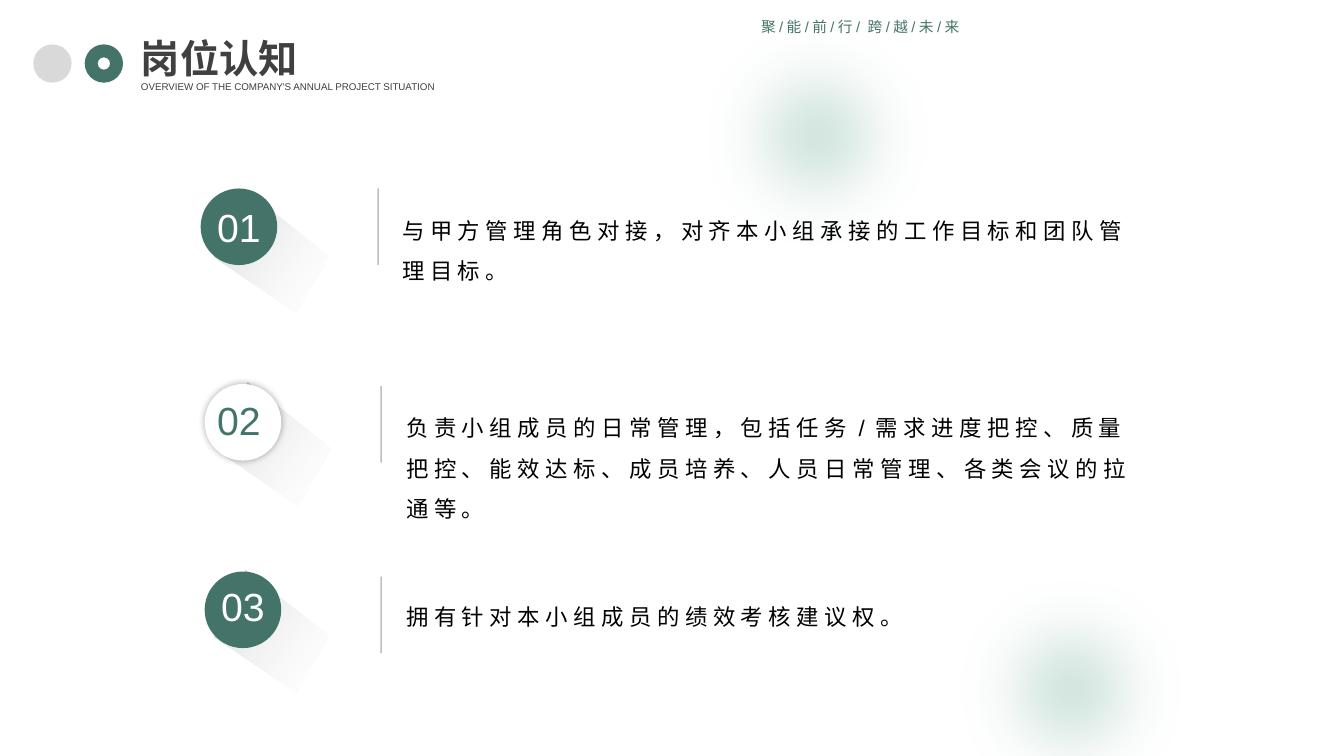
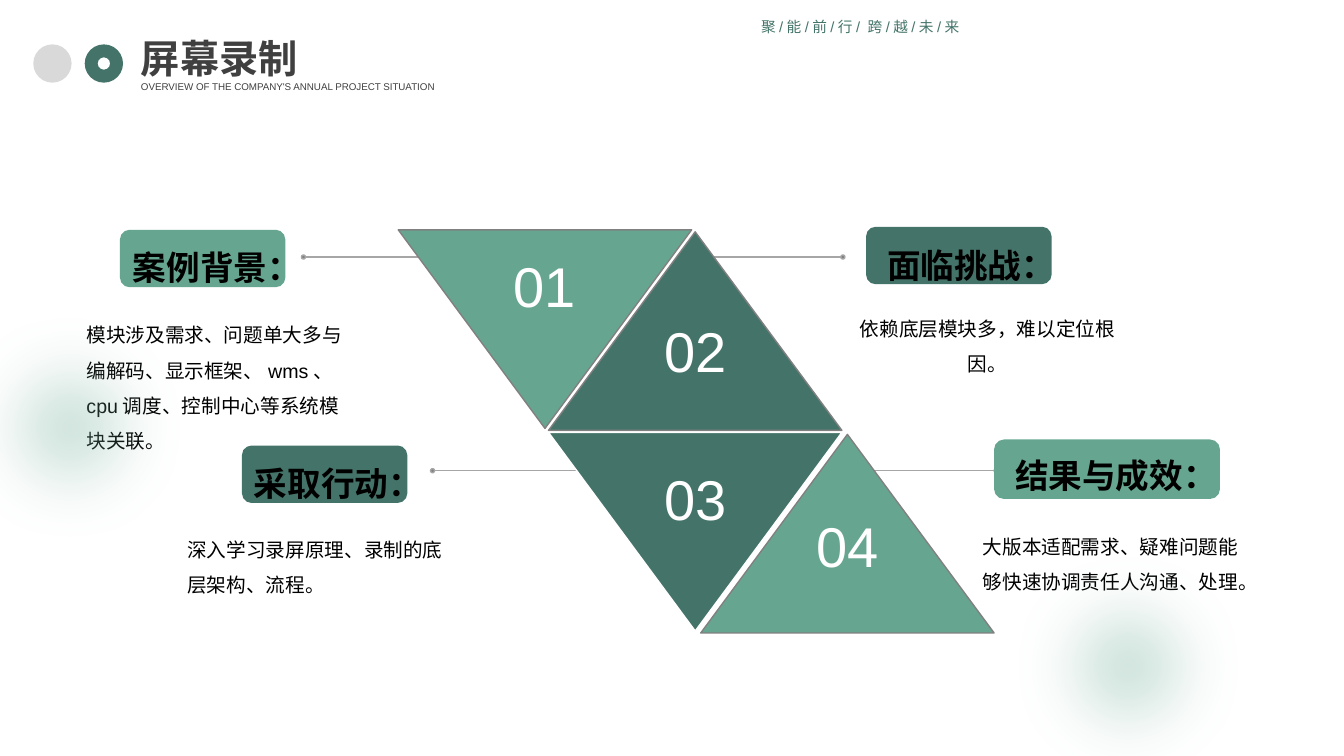
from lxml.etree import SubElement
from pptx import Presentation
from pptx.dml.color import RGBColor
from pptx.enum.lang import MSO_LANGUAGE_ID
from pptx.enum.shapes import MSO_CONNECTOR, MSO_SHAPE
from pptx.enum.text import MSO_AUTO_SIZE, PP_ALIGN
from pptx.oxml import parse_xml
from pptx.oxml.ns import nsdecls, qn
from pptx.util import Inches, Pt

COLORS = {
    "dark": "447469",
    "light": "66A691",
    "glow": "7CB3A1",
    "grey": "D9D9D9",
    "rule": "808080",
    "leader": "A6A6A6",
    "title": "404040",
    "black": "000000",
    "white": "FFFFFF",
}
FONT = "Arial"
MOTTO = "聚/能/前/行/ 跨/越/未/来"
SUBTITLE = "OVERVIEW OF THE COMPANY'S ANNUAL PROJECT SITUATION"
GLOW_SIZE = 2.87
BADGE_SIZE = 0.76
TRIANGLE_SIZE = (2.91, 1.97)

# Offset of each corner of a badge's long shadow from its left top corner
LONG_SHADOW = [(0, 0.66), (0.31, 0), (1.13, 0.65), (0.81, 1.21)]
# Position, colour (as name and opacity percent) along the long shadow
LONG_SHADOW_STOPS = [(0, "F6F8FC", 0), (65, "CCCDCE", 40), (100, "BFBFBF", 100)]

# number, badge, long shadow, number box, rule, text box, fill, number colour, text
DUTIES = [
    ("01", (1.99, 1.87), (2.13, 1.89), (1.74, 1.97), (3.75, 1.87), (3.89, 1.97),
     "dark", "white", "与甲方管理角色对接，对齐本小组承接的工作目标和团队管理目标。"),
    ("02", (2.03, 3.81), (2.15, 3.8), (1.74, 3.88), (3.78, 3.83), (3.93, 3.93),
     "white", "dark", "负责小组成员的日常管理，包括任务/需求进度把控、质量把控、"
     "能效达标、成员培养、人员日常管理、各类会议的拉通等。"),
    ("03", (2.03, 5.67), (2.13, 5.66), (1.78, 5.73), (3.78, 5.72), (3.93, 5.8),
     "dark", "white", "拥有针对本小组成员的绩效考核建议权。"),
]

# dot centre, inner end of the leader
LEADERS = [
    ((9.88, 4.67), 8.38),
    ((3.01, 2.55), 4.51),
    ((4.29, 4.67), 5.79),
    ((8.36, 2.55), 6.86),
]

# number, left, top, fill, line, points down, number top within the triangle
TRIANGLES = [
    ("02", 5.44, 2.3, "dark", "rule", False, 0.79),
    ("01", 3.95, 2.28, "light", "rule", True, 0.17),
    ("03", 5.44, 4.29, "dark", "white", True, 0.27),
    ("04", 6.95, 4.31, "light", "rule", False, 0.72),
]

# heading, pill box, heading box, body left and top, fill, alignment, body
CARDS = [
    ("案例背景：", (1.19, 2.28, 1.64, 0.57), (1.22, 2.25, 1.64, 0.62), (0.76, 3.04),
     "light", None, "模块涉及需求、问题单大多与编解码、显示框架、wms、cpu调度、控制中心等系统模块关联。"),
    ("采取行动：", (2.4, 4.42, 1.64, 0.57), (2.42, 4.39, 1.84, 0.61), (1.76, 5.17),
     "dark", None, "深入学习录屏原理、录制的底层架构、流程。"),
    ("面临挑战：", (8.59, 2.25, 1.84, 0.57), (8.7, 2.23, 1.84, 0.61), (8.36, 2.98),
     "dark", PP_ALIGN.CENTER, "依赖底层模块多，难以定位根因。"),
    ("结果与成效：", (9.86, 4.36, 2.24, 0.59), (9.97, 4.31, 2.58, 0.49), (9.58, 5.14),
     "light", PP_ALIGN.CENTER, "大版本适配需求、疑难问题能够快速协调责任人沟通、处理。"),
]


def color(name):
    return RGBColor.from_string(COLORS[name])


def set_alpha(shape, percent):
    """Make every colour in the shape's own formatting translucent."""
    for item in shape.element.spPr.iter(qn("a:srgbClr")):
        SubElement(item, qn("a:alpha")).set("val", str(percent * 1000))


def set_effect(shape, effect=""):
    """Replace the shape's effects by the given XML, or by none."""
    properties = shape.element.spPr
    for old in properties.findall(qn("a:effectLst")):
        properties.remove(old)
    properties.append(parse_xml(
        f"<a:effectLst {nsdecls('a')}>{effect}</a:effectLst>"))


def add_preset(shapes, kind, box, fill, line=None):
    shape = shapes.add_shape(kind, *map(Inches, box))
    shape.shadow.inherit = False
    shape.fill.solid()
    shape.fill.fore_color.rgb = color(fill)
    if line:
        shape.line.color.rgb = color(line)
        shape.line.width = Pt(1)
    else:
        shape.line.fill.background()
    return shape


def add_line(shapes, start, end, name):
    connector = shapes.add_connector(
        MSO_CONNECTOR.STRAIGHT, *map(Inches, (*start, *end)))
    connector.line.color.rgb = color(name)
    connector.line.width = Pt(1)
    set_effect(connector)
    return connector


def add_text(shapes, box, text, size, name="black", bold=False, align=None,
             line_spacing=None, letter_spacing=None, wrap=True):
    text_box = shapes.add_textbox(*map(Inches, box))
    frame = text_box.text_frame
    frame.text = text
    frame.word_wrap = wrap
    frame.auto_size = MSO_AUTO_SIZE.SHAPE_TO_FIT_TEXT
    paragraph = frame.paragraphs[0]
    paragraph.alignment = align
    paragraph.line_spacing = line_spacing
    font = paragraph.runs[0].font
    font.name = FONT
    font.size = Pt(size)
    font.bold = bold
    font.color.rgb = color(name)
    font.language_id = MSO_LANGUAGE_ID.SIMPLIFIED_CHINESE
    if letter_spacing:
        paragraph.runs[0].font._element.set("spc", str(letter_spacing * 100))
    return text_box


def add_header(slide, title):
    shapes = slide.shapes
    add_preset(shapes, MSO_SHAPE.OVAL, (0.33, 0.44, 0.38, 0.38), "grey")
    ring = add_preset(shapes, MSO_SHAPE.DONUT, (0.84, 0.44, 0.38, 0.38), "dark")
    ring.adjustments[0] = 0.338
    for box, text, size, name, bold in [
        ((1.3, 0.29, 4.02, 0.57), title, 28, "title", True),
        ((1.3, 0.75, 4.98, 0.22), SUBTITLE, 7, "title", False),
        ((7.45, 0.13, 5.43, 0.28), MOTTO, 10.5, "dark", False),
    ]:
        add_text(shapes, box, text, size, name, bold, PP_ALIGN.JUSTIFY)


def add_glow(slide, left, top):
    """Add a large translucent circle with a soft edge."""
    glow = add_preset(slide.shapes, MSO_SHAPE.OVAL,
                      (left, top, GLOW_SIZE, GLOW_SIZE), "glow")
    set_alpha(glow, 43)
    set_effect(glow, f'<a:softEdge rad="{Pt(50)}"/>')


def add_long_shadow(shapes, left, top):
    points = [(Inches(left + x), Inches(top + y)) for x, y in LONG_SHADOW]
    builder = shapes.build_freeform(*points[0])
    builder.add_line_segments(points[1:], close=True)
    shape = builder.convert_to_shape()
    shape.shadow.inherit = False
    shape.line.fill.background()
    stops = "".join(
        f'<a:gs pos="{position * 1000}"><a:srgbClr val="{value}">'
        f'<a:alpha val="{alpha * 1000}"/></a:srgbClr></a:gs>'
        for position, value, alpha in LONG_SHADOW_STOPS)
    shape.element.spPr.find(qn("a:custGeom")).addnext(parse_xml(
        f'<a:gradFill {nsdecls("a")}><a:gsLst>{stops}</a:gsLst>'
        f'<a:lin ang="{215 * 60000}" scaled="0"/></a:gradFill>'))


def add_duty(slide, number, badge, shadow, number_at, rule, text_at,
             fill, number_color, text):
    group = slide.shapes.add_group_shape().shapes
    add_long_shadow(group, *shadow)
    circle = add_preset(group, MSO_SHAPE.OVAL, (*badge, BADGE_SIZE, BADGE_SIZE), fill)
    if fill == "white":
        set_effect(circle, f'<a:outerShdw blurRad="{Pt(5)}" algn="ctr" rotWithShape="0">'
                   f'<a:srgbClr val="{COLORS["black"]}"><a:alpha val="30000"/>'
                   '</a:srgbClr></a:outerShdw>')
    add_text(group, (*number_at, 1.26, 0.57), number, 28, number_color,
             align=PP_ALIGN.CENTER)
    left, top = rule
    set_alpha(add_line(slide.shapes, rule, (left, top + BADGE_SIZE), "rule"), 49)
    add_text(slide.shapes, (*text_at, 7.45, 0.5), text, 16,
             line_spacing=1.5, letter_spacing=4)


def add_leader(slide, dot, inner_end):
    group = slide.shapes.add_group_shape().shapes
    x, y = dot
    add_line(group, dot, (inner_end, y), "leader")
    add_preset(group, MSO_SHAPE.OVAL, (x - 0.02, y - 0.02, 0.04, 0.04), "rule", "leader")


def add_triangle(shapes, number, left, top, fill, line, points_down, number_top):
    triangle = add_preset(shapes, MSO_SHAPE.ISOSCELES_TRIANGLE,
                          (left, top, *TRIANGLE_SIZE), fill, line)
    triangle.rotation = 180 if points_down else 0
    add_text(shapes, (left + 1.04, top + number_top, 0.83, 0.77), number, 40,
             "white", align=PP_ALIGN.CENTER, wrap=False)


def add_card(slide, heading, pill, heading_box, body_at, fill, align, body):
    group = slide.shapes.add_group_shape().shapes
    add_preset(group, MSO_SHAPE.ROUNDED_RECTANGLE, pill, fill)
    frame = add_text(group, heading_box, heading, 24, bold=True,
                     line_spacing=1.5).text_frame
    frame.margin_top = frame.margin_bottom = 0
    add_text(group, (*body_at, 2.87, 0.81), body, 14, align=align, line_spacing=1.5)


def build_duties_slide(slide):
    for duty in DUTIES:
        add_duty(slide, *duty)
    add_glow(slide, 6.67, -0.09)
    add_glow(slide, 9.19, 5.4)
    add_header(slide, "岗位认知")


def build_case_slide(slide):
    for leader in LEADERS:
        add_leader(slide, *leader)
    triangles = slide.shapes.add_group_shape().shapes
    for triangle in TRIANGLES:
        add_triangle(triangles, *triangle)
    for card in CARDS:
        add_card(slide, *card)
    add_glow(slide, -0.74, 2.8)
    add_glow(slide, 9.75, 5.17)
    add_header(slide, "屏幕录制")


def main():
    presentation = Presentation()
    presentation.slide_width = Inches(13.33)
    presentation.slide_height = Inches(7.5)
    blank = presentation.slide_layouts[6]
    for build in (build_duties_slide, build_case_slide):
        build(presentation.slides.add_slide(blank))
    presentation.save("out.pptx")


if __name__ == "__main__":
    main()
